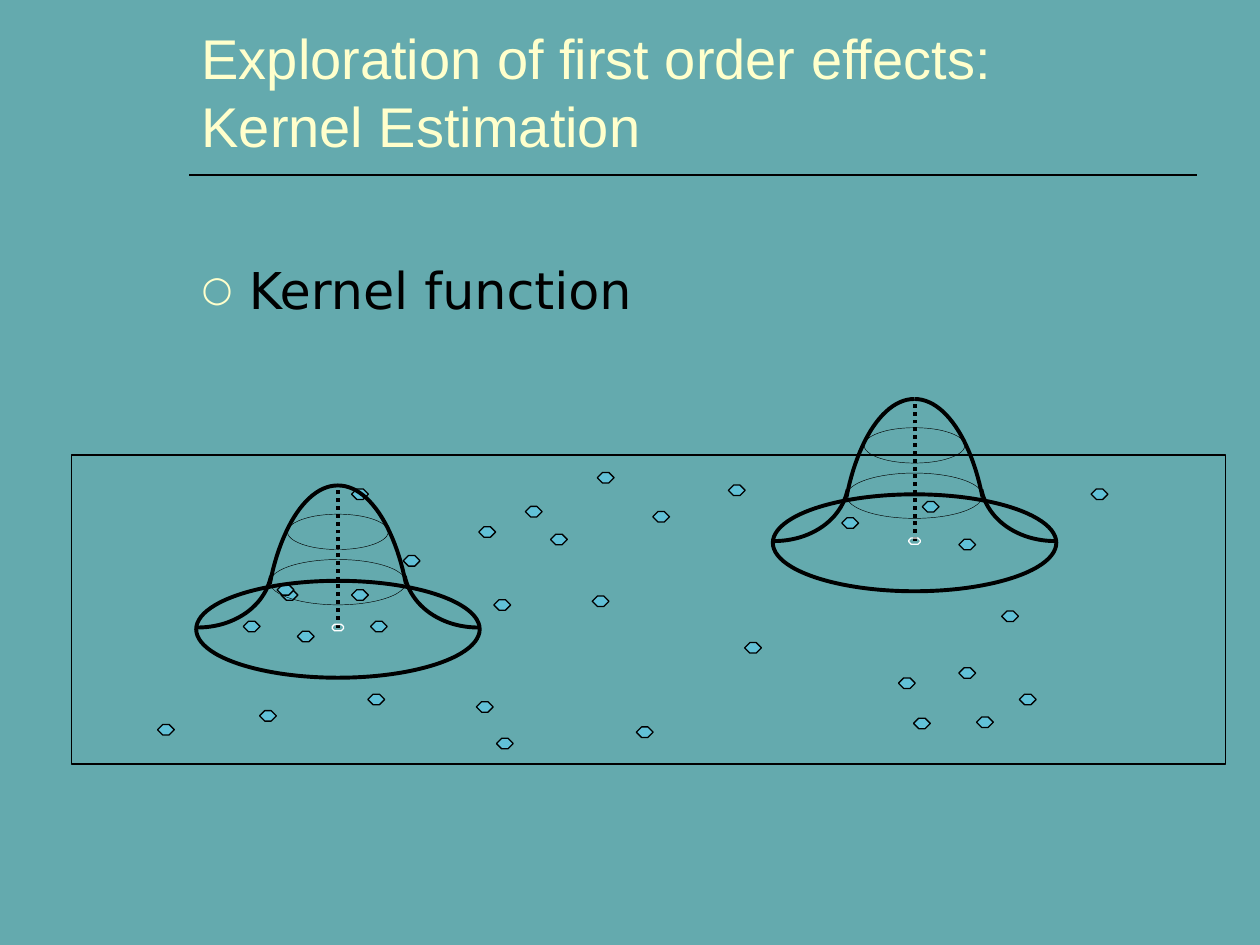
from copy import deepcopy
from dataclasses import dataclass

from lxml import etree
from pptx import Presentation
from pptx.dml.color import RGBColor
from pptx.enum.dml import MSO_LINE
from pptx.enum.shapes import MSO_CONNECTOR, MSO_SHAPE
from pptx.enum.text import MSO_ANCHOR, MSO_AUTO_SIZE, PP_ALIGN
from pptx.oxml.ns import qn
from pptx.util import Pt

LINE, DOT = MSO_CONNECTOR.STRAIGHT, MSO_LINE.ROUND_DOT
OVAL, OCT, PARA = MSO_SHAPE.OVAL, MSO_SHAPE.OCTAGON, MSO_SHAPE.PARALLELOGRAM
TOP, LOW, LEFT = MSO_ANCHOR.TOP, MSO_ANCHOR.BOTTOM, PP_ALIGN.LEFT
FIXED = MSO_AUTO_SIZE.NONE


@dataclass(frozen=True)
class Theme:
    back: str = "64AAAE"
    head: str = "FFFFCC"
    ink: str = "000000"
    dot: str = "61C1D7"
    mark: str = "FFFFFF"
    head_font: str = "Arial"
    body_font: str = "DejaVu Sans"
    head_size: float = 32
    body_size: float = 29
    bold: float = 2.25
    thin: float = 0.75
    hair: float = 0.25


THEME = Theme()
TITLE = "Exploration of first order effects:\vKernel Estimation"
ITEM = "Kernel function"
FRAME = (41, 260, 659.5, 176.5)
DOT_SIZE = (9.6, 6)
DOTS = [
    (282.2, 342.7), (522, 410.4), (513.4, 387.4), (273.6, 301), (547.9, 308.2),
    (139, 355), (169.9, 360.7), (314.6, 305.3), (527, 286.6), (200.9, 279.4),
    (572.4, 349.2), (623.5, 279.4), (547.9, 381.6), (481, 295.9), (272.2, 401),
    (148.3, 406.1), (90, 414), (558, 409.7), (160.6, 337), (341.3, 270),
    (338.4, 340.6), (416.2, 277.2), (158.4, 334.1), (363.6, 415.4),
    (425.5, 367.2), (582.5, 396.7), (230.4, 317.5), (300.2, 289.4),
    (210.2, 396.7), (211.7, 355), (200.9, 337), (283.7, 421.9), (373, 292.3),
]
FEET = [(193.1, 358.6), (522.6, 309.2)]
POLE = 80.6
BRIM = (162, 55.4, 1)
RINGS = [(77.8, 25.9, -25.9), (57.6, 20.2, -54.7)]
CURVES = [
    [(0, -81.2), (17.3, -81.2), (32.4, -58), (38.9, -25)],
    [(80.6, 0), (59, 0), (41.8, -12.2), (38.2, -29.5)],
]
STEPS = 24


def rgb(code):
    return RGBColor.from_string(code)


def style(shape, width, line=THEME.ink, fill=None):
    shape.shadow.inherit = False
    shape.line.color.rgb = rgb(line)
    shape.line.width = Pt(width)
    if fill:
        shape.fill.solid()
        shape.fill.fore_color.rgb = rgb(fill)
    else:
        shape.fill.background()


def add(shapes, kind, box, adj=None, **look):
    shape = shapes.add_shape(kind, *map(Pt, box))
    if adj is not None:
        shape.adjustments[0] = adj
    style(shape, **look)


def rule(shapes, start, end, width):
    line = shapes.add_connector(LINE, *map(Pt, (*start, *end)))
    line.line.color.rgb = rgb(THEME.ink)
    line.line.width = Pt(width)
    etree.SubElement(line._element.spPr, qn("a:effectLst"))
    return line


def around(foot, size):
    wide, high, drop = size
    return foot[0] - wide / 2, foot[1] + drop - high / 2, wide, high


def bend(ctrl, t):
    u = 1 - t
    mix = (u**3, 3 * u * u * t, 3 * u * t * t, t**3)
    return [sum(m * p[k] for m, p in zip(mix, ctrl)) for k in (0, 1)]


def curve(shapes, foot, ctrl, side):
    spots = [bend(ctrl, n / STEPS) for n in range(STEPS + 1)]
    pts = [(Pt(foot[0] + side * x), Pt(foot[1] + y)) for x, y in spots]
    path = shapes.build_freeform(*pts[0])
    path.add_line_segments(pts[1:], close=False)
    style(path.convert_to_shape(), THEME.bold)


def hat(slide, foot):
    shapes = slide.shapes.add_group_shape().shapes
    pole = rule(shapes, foot, (foot[0], foot[1] - POLE), THEME.bold)
    pole.line.dash_style = DOT
    add(shapes, OCT, around(foot, (6.5, 3.6, 0)), 0.36,
        width=THEME.thin, line=THEME.mark)
    add(shapes, OVAL, around(foot, BRIM), width=THEME.bold)
    for side in (1, -1):
        for ctrl in CURVES:
            curve(shapes, foot, ctrl, side)
    for ring in RINGS:
        add(shapes, OVAL, around(foot, ring), width=THEME.hair)


def write(holder, text, box, anchor, font, size, color):
    holder.left, holder.top, holder.width, holder.height = map(Pt, box)
    frame = holder.text_frame
    frame.text = text
    frame.auto_size = FIXED
    frame.word_wrap = True
    frame.vertical_anchor = anchor
    para = frame.paragraphs[0]
    para.alignment = LEFT
    for run in para.runs:
        run.font.name = font
        run.font.size = Pt(size)
        run.font.color.rgb = rgb(color)
    return para


def bullet(para):
    prop = para._p.get_or_add_pPr()
    prop.set("marL", str(Pt(27)))
    prop.set("indent", str(Pt(-27)))
    tint = etree.SubElement(prop, qn("a:buClr"))
    etree.SubElement(tint, qn("a:srgbClr"), val=THEME.head)
    etree.SubElement(prop, qn("a:buSzPct"), val="70000")
    etree.SubElement(prop, qn("a:buFont"), typeface=THEME.body_font)
    etree.SubElement(prop, qn("a:buChar"), char="○")


def main():
    deck = Presentation()
    deck.slide_width, deck.slide_height = Pt(720), Pt(540)
    slide = deck.slides.add_slide(deck.slide_layouts[1])
    slide.background.fill.solid()
    slide.background.fill.fore_color.rgb = rgb(THEME.back)

    head = write(slide.shapes.title, TITLE, (108, 4.4, 576, 90), LOW,
                 THEME.head_font, THEME.head_size, THEME.head)
    head.line_spacing = Pt(38.9)
    for gap in head._p.findall(qn("a:br")):
        gap.append(deepcopy(head.runs[0]._r.rPr))
    body = write(slide.placeholders[1], ITEM, (108, 144, 576, 324), TOP,
                 THEME.body_font, THEME.body_size, THEME.ink)
    body.space_before = Pt(7.3)
    bullet(body)

    rule(slide.shapes, (108, 100), (684, 100), 1)
    add(slide.shapes, PARA, FRAME, 0, width=THEME.thin)
    for spot in DOTS:
        add(slide.shapes, OCT, (*spot, *DOT_SIZE), 0.5,
            width=THEME.thin, fill=THEME.dot)
    for foot in FEET:
        hat(slide, foot)
    deck.save("out.pptx")


if __name__ == "__main__":
    main()
